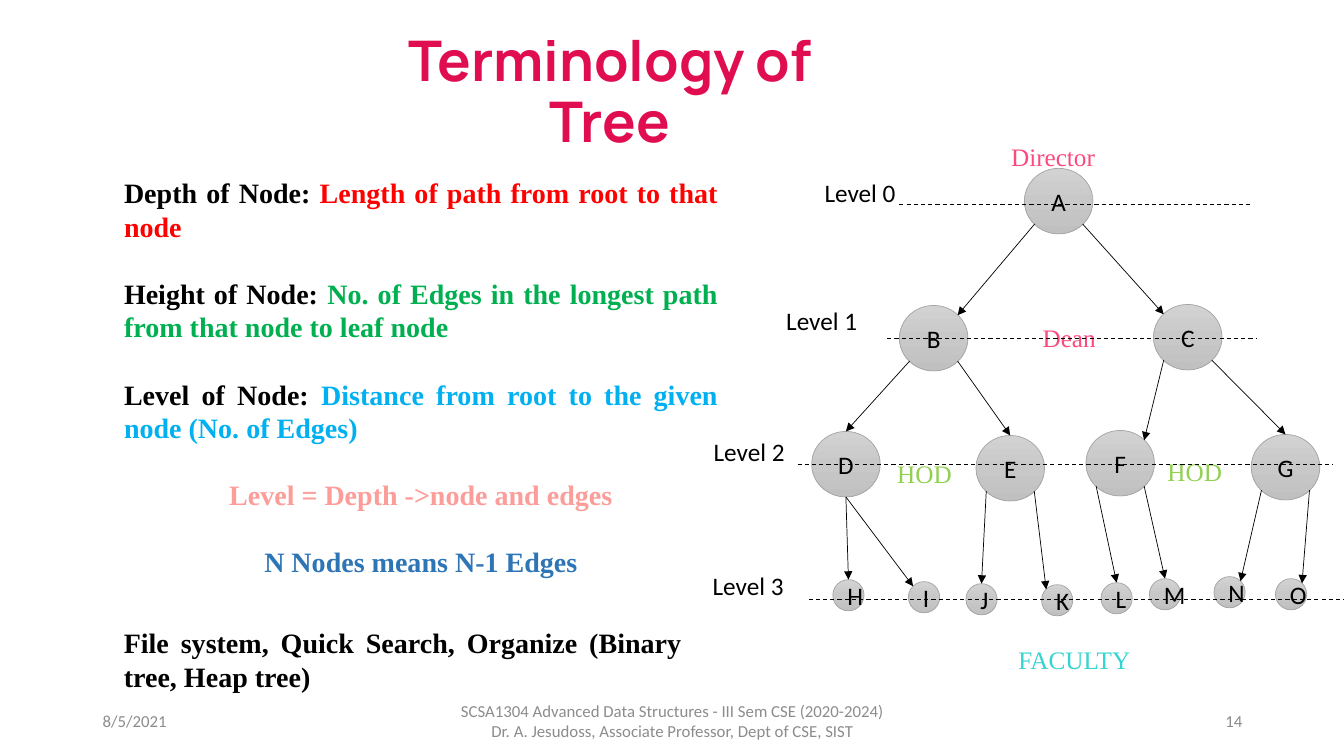
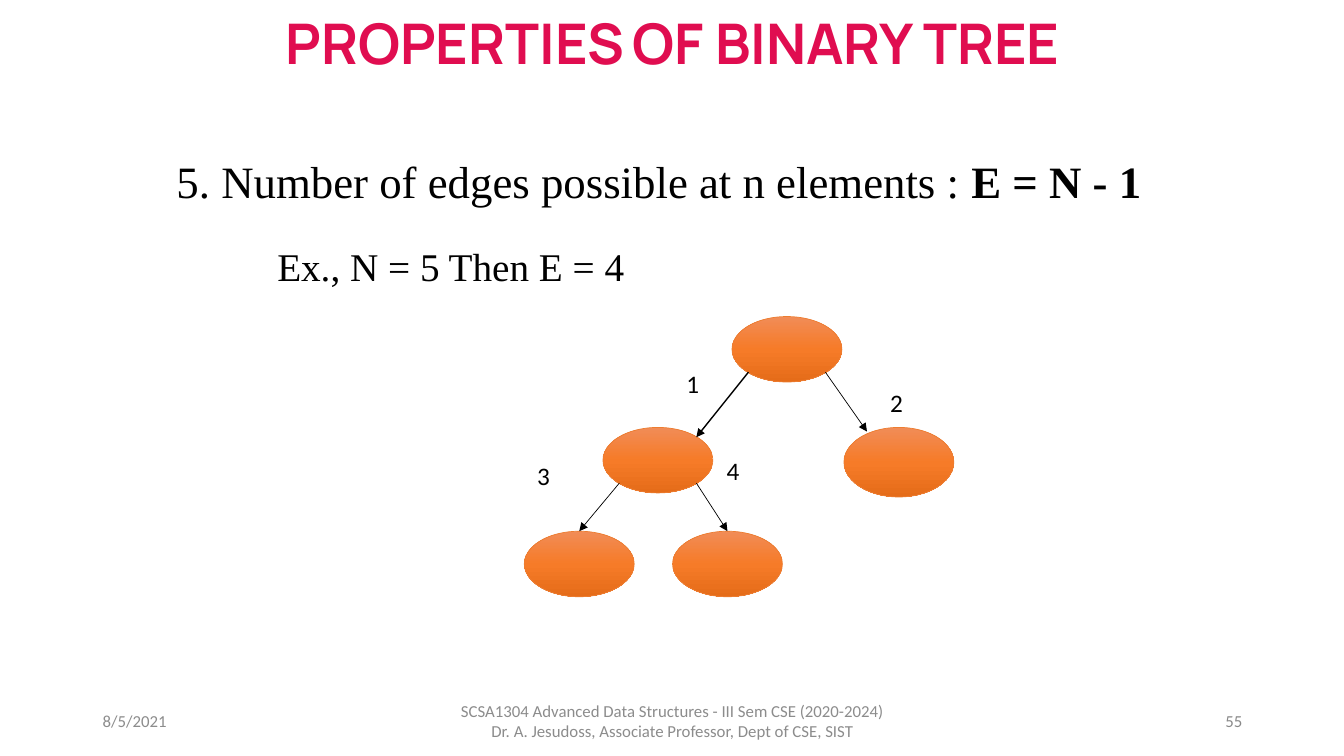
"""Builds two lecture slides on tree terminology and binary tree properties."""
import pptx
import pptx.util
import pptx.oxml
import pptx.oxml.ns
import pptx.dml.color
import pptx.enum.dml
import pptx.enum.shapes
import pptx.enum.text
import lxml.etree

Inches, Pt = pptx.util.Inches, pptx.util.Pt
ALIGN, ANCHOR = pptx.enum.text.PP_ALIGN, pptx.enum.text.MSO_ANCHOR
SERIF, SANS, DISPLAY = "Times New Roman", "Calibri", "Manrope"
COLORS = {
    "text": "000000", "title": "E00D50", "footer": "8C8C8C", "number": "898989",
    "depth": "FF0000", "height": "00B050", "level": "00B0F0",
    "equation": "FC9D99", "count": "2E75B6",
    "senior": "FC4A7E", "head": "92D050", "faculty": "34D4D0",
}
GRAY = {"stops": ("D2D2D2", "C8C8C8", "C0C0C0"), "line": "A5A5A5"}
ORANGE = {"stops": ("F18C57", "F67B28", "E56C19"), "line": "ED7D31"}

DATE = "8/5/2021"
FOOTER = ["SCSA1304 Advanced Data Structures - III Sem CSE (2020-2024)",
          "Dr. A. Jesudoss, Associate Professor, Dept of CSE, SIST"]

DEFINITIONS = [
    ("Depth of Node: ", "Length of path from root to that node", "depth"),
    ("Height of Node: ", "No. of Edges in the longest path from that node to leaf node", "height"),
    ("Level of Node: ", "Distance from root to the given node (No. of Edges)", "level"),
]
FACTS = [("Level = Depth ->node and edges", "equation"),
         ("N Nodes means N-1 Edges", "count")]
USES = "File system, Quick Search, Organize (Binary tree, Heap tree)"

BIG, SMALL, OVAL = (0.68, 0.65), (0.31, 0.31), (1.09, 0.65)
STAFF_NODES = {
    "A": (10.16, 1.67), "B": (8.92, 3.03), "C": (11.44, 3.02),
    "D": (8.05, 4.28), "E": (9.68, 4.32), "F": (10.77, 4.27), "G": (12.41, 4.31),
}
STAFF_LEAVES = {
    "H": (8.26, 5.75), "I": (9.01, 5.77), "J": (9.58, 5.79), "K": (10.33, 5.8),
    "L": (10.92, 5.78), "M": (11.4, 5.74), "N": (12.04, 5.72), "O": (12.65, 5.74),
}
SITES = {
    "top": (0.5, 0), "bottom": (0.5, 1), "nw": (0.15, 0.15), "ne": (0.85, 0.15),
    "sw": (0.15, 0.85), "se": (0.85, 0.85), "upper": (0.21, 0.06),
}
STAFF_EDGES = [
    ("A", "sw", "B", "ne"), ("A", "se", "C", "nw"), ("B", "sw", "D", "top"),
    ("B", "se", "E", "top"), ("C", "sw", "F", "ne"), ("C", "se", "G", "top"),
    ("D", "bottom", "H", "top"), ("D", "bottom", "I", "nw"), ("E", "sw", "J", "top"),
    ("E", "se", "K", "nw"), ("F", "sw", "L", "top"), ("F", "se", "M", "top"),
    ("G", "sw", "N", "ne"), ("G", "se", "O", "ne"),
]
ROLES = [
    ("Director", (9.43, 1.35, 2.03, 0.4), "senior", ALIGN.CENTER),
    ("Dean", (9.87, 3.15, 1.47, 0.4), "senior", ALIGN.CENTER),
    ("HOD", (8.8, 4.5, 0.91, 0.4), "head", ALIGN.LEFT),
    ("HOD", (11.48, 4.48, 0.91, 0.4), "head", ALIGN.LEFT),
    ("FACULTY", (8.88, 6.34, 3.55, 0.4), "faculty", ALIGN.CENTER),
]
LEVELS = [((8.08, 1.71), (8.92, 12.42, 2.03)), ((7.7, 2.98), (8.8, 12.47, 3.36)),
          ((6.98, 4.28), (7.91, 13.22, 4.61)), ((6.97, 5.61), (8.02, 13.33, 5.95))]

BINARY_NODES = {"root": (7.26, 3.14), "left": (5.98, 4.24), "right": (8.37, 4.24),
                "first": (5.2, 5.27), "second": (6.67, 5.27)}
BINARY_EDGES = [
    ("root", "sw", "left", "ne", 1), ("root", "se", "right", "upper", 0.5),
    ("left", "sw", "first", "top", 0.5), ("left", "se", "second", "top", 0.5),
]
EDGE_NUMBERS = {"1": (6.71, 3.6), "2": (8.73, 3.79), "3": (5.23, 4.52), "4": (7.11, 4.47)}


def rgb(hex_string):
    return pptx.dml.color.RGBColor.from_string(hex_string)


def write(frame, paragraphs, size=18, font=SANS, color="text", bold=False,
          align=ALIGN.LEFT, anchor=ANCHOR.TOP, gap=0, line=None):
    """Fill a frame with strings or lists of (text, format) spans."""
    frame.word_wrap = True
    frame.auto_size = pptx.enum.text.MSO_AUTO_SIZE.NONE
    frame.vertical_anchor = anchor
    for index, spans in enumerate(paragraphs):
        para = frame.add_paragraph() if index else frame.paragraphs[0]
        properties = para._p.get_or_add_pPr()
        properties.set("marL", "0")
        properties.set("indent", "0")
        lxml.etree.SubElement(properties, pptx.oxml.ns.qn("a:buNone"))
        para.alignment = align
        para.space_before = Pt(gap if index else 0)
        if line:
            para.line_spacing = line
        for text, style in [(spans, {})] if isinstance(spans, str) else spans:
            span = para.add_run()
            span.text = text
            span.font.size = Pt(style.get("size", size))
            span.font.name = style.get("font", font)
            span.font.bold = style.get("bold", bold)
            span.font.color.rgb = rgb(COLORS[style.get("color", color)])


def place(shape, at):
    shape.left, shape.top, shape.width, shape.height = map(Inches, at)
    return shape


def add_text(page, text, at, **style):
    box = page.shapes.add_textbox(*map(Inches, at))
    write(box.text_frame, [text] if isinstance(text, str) else text, **style)


def add_node(page, corner, size, look, label=None):
    node = page.shapes.add_shape(pptx.enum.shapes.MSO_SHAPE.OVAL, *map(Inches, corner + size))
    node.shadow.inherit = False
    stops = "".join(f'<a:gs pos="{index * 50000}"><a:srgbClr val="{color}"/></a:gs>'
                    for index, color in enumerate(look["stops"]))
    gradient = pptx.oxml.parse_xml(
        f'<a:gradFill {pptx.oxml.ns.nsdecls("a")} rotWithShape="1"><a:gsLst>{stops}</a:gsLst>'
        '<a:lin ang="5400000" scaled="0"/></a:gradFill>')
    node.element.spPr.find(pptx.oxml.ns.qn("a:prstGeom")).addnext(gradient)
    node.line.color.rgb = rgb(look["line"])
    node.line.width = Pt(0.5)
    if label:
        write(node.text_frame, [label], align=ALIGN.CENTER, anchor=ANCHOR.MIDDLE)
    return node


def add_line(page, start, end, width=0.5, dashed=False):
    line = page.shapes.add_connector(pptx.enum.shapes.MSO_CONNECTOR.STRAIGHT,
                                     *map(int, start + end))
    line.line.color.rgb = rgb(COLORS["text"])
    line.line.width = Pt(width)
    if dashed:
        line.line.dash_style = pptx.enum.dml.MSO_LINE.DASH
    else:
        outline = line.line._get_or_add_ln()
        lxml.etree.SubElement(outline, pptx.oxml.ns.qn("a:tailEnd"), type="triangle")
    lxml.etree.SubElement(line.element.spPr, pptx.oxml.ns.qn("a:effectLst"))


def site(node, name):
    across, down = SITES[name]
    return node.left + node.width * across, node.top + node.height * down


def add_edges(page, nodes, edges):
    for parent, leave, child, arrive, *width in edges:
        add_line(page, site(nodes[parent], leave), site(nodes[child], arrive), *width)


def add_page(deck, title, title_at, number):
    """Add a page with its title and footer and return it with its body."""
    page = deck.slides.add_slide(deck.slide_layouts[1])
    heading, body = page.placeholders
    write(place(heading, title_at).text_frame, [title], size=40, font=DISPLAY,
          color="title", bold=True, align=ALIGN.CENTER, line=0.9)
    for text, left, width, color, align in (
            (FOOTER, 4.42, 4.5, "footer", ALIGN.CENTER),
            (number, 9.42, 3, "number", ALIGN.RIGHT),
            (DATE, 0.92, 3, "footer", ALIGN.LEFT)):
        add_text(page, text, (left, 6.95, width, 0.4), size=12, color=color,
                 align=align, anchor=ANCHOR.MIDDLE)
    return page, body


def build_terminology(deck):
    page, body = add_page(deck, "Terminology of Tree", (3.3, 0.28, 5.5, 0.77), "14")
    prose = {"size": 20, "font": SERIF, "bold": True, "line": Pt(24), "gap": 24}
    write(place(body, (1.13, 1.69, 6.09, 2.85)).text_frame,
          [[(term, {}), (meaning, {"color": color})] for term, meaning, color in DEFINITIONS],
          align=ALIGN.JUSTIFY, **prose)
    add_text(page, [[(fact, {"color": color})] for fact, color in FACTS],
             (1.13, 4.69, 6.09, 1.14), align=ALIGN.CENTER, **prose)
    add_text(page, USES, (1.13, 6.16, 5.73, 0.77), align=ALIGN.JUSTIFY, **prose)
    nodes = {name: add_node(page, corner, size, GRAY, name)
             for group, size in ((STAFF_NODES, BIG), (STAFF_LEAVES, SMALL))
             for name, corner in group.items()}
    add_edges(page, nodes, STAFF_EDGES)
    for role, at, color, align in ROLES:
        add_text(page, role, at, font=SERIF, color=color, align=align)
    for level, (corner, (left, right, top)) in enumerate(LEVELS):
        add_line(page, (Inches(left), Inches(top)), (Inches(right), Inches(top)),
                 width=0.75, dashed=True)
        add_text(page, f"Level {level}", corner + (0.93, 0.4))


def build_properties(deck):
    title = [("PROPERTIES", {}), (" ", {"size": 24, "font": SERIF, "color": "text"}),
             ("OF BINARY TREE", {})]
    page, body = add_page(deck, title, (2.26, 0.11, 8.82, 0.77), "55")
    frame = place(body, (1.65, 1.47, 10.85, 1.6)).text_frame
    write(frame, [[("5. Number of edges possible at n elements : ", {}),
                   ("E = N - 1", {"bold": True})],
                  [("Ex., N = 5 Then E = 4", {"size": 28})]],
          size=32, font=SERIF, gap=25)
    example = frame.paragraphs[1]
    example.level = 2
    example._p.get_or_add_pPr().set("marL", str(Inches(1)))
    nodes = {name: add_node(page, corner, OVAL, ORANGE)
             for name, corner in BINARY_NODES.items()}
    nodes["right"].height = Inches(0.69)
    add_edges(page, nodes, BINARY_EDGES)
    for number, corner in EDGE_NUMBERS.items():
        add_text(page, number, corner + (0.74, 0.4))


def main():
    deck = pptx.Presentation()
    deck.slide_width, deck.slide_height = Inches(13.33), Inches(7.5)
    build_terminology(deck)
    build_properties(deck)
    deck.save("out.pptx")


if __name__ == "__main__":
    main()
